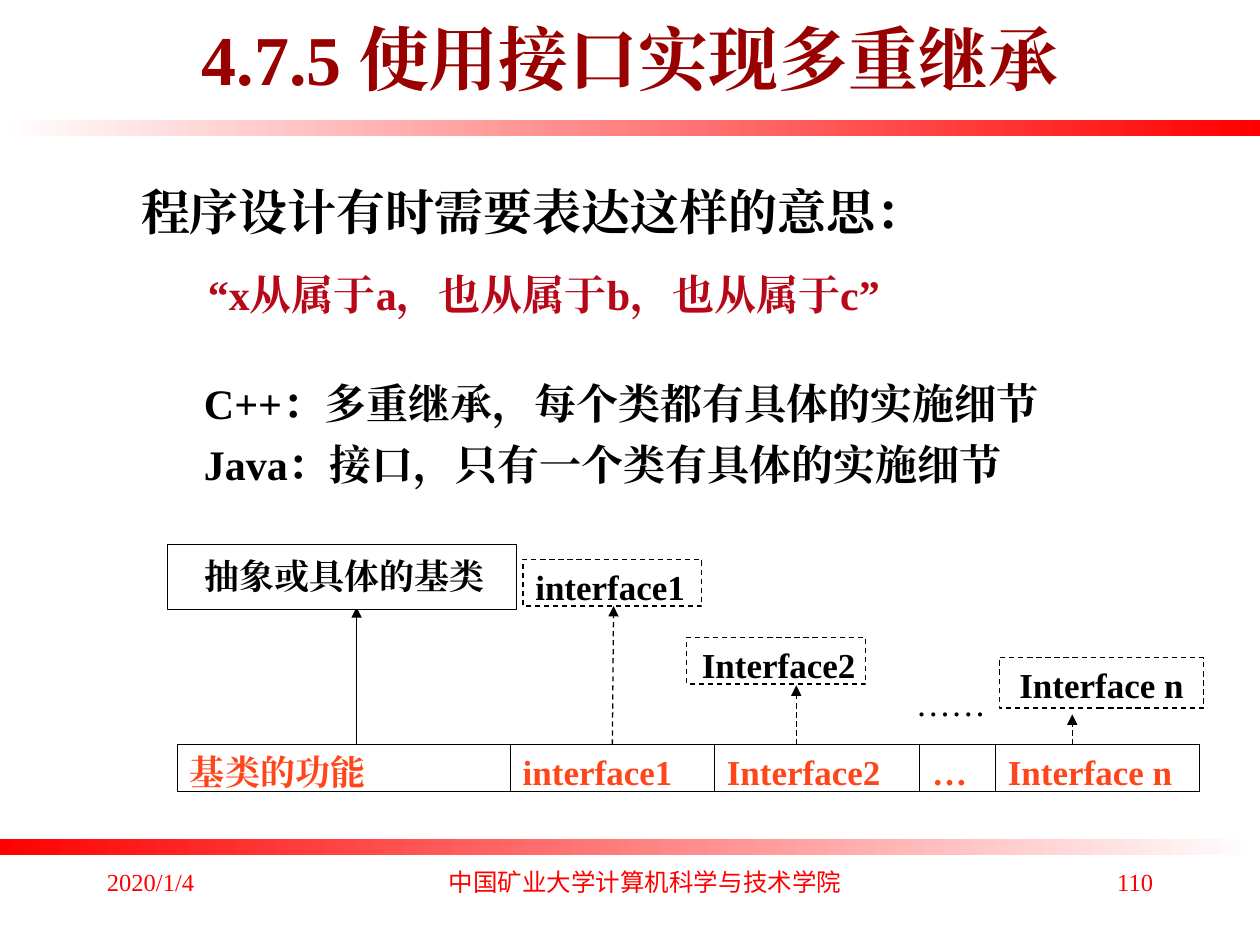
import pptx
import pptx.util
import pptx.dml.color
import pptx.enum.dml
import pptx.enum.lang
import pptx.enum.shapes
import pptx.enum.text
import pptx.oxml

Inches, Pt = pptx.util.Inches, pptx.util.Pt
ALIGN = pptx.enum.text.PP_ALIGN
ANCHOR = pptx.enum.text.MSO_ANCHOR
RECTANGLE = pptx.enum.shapes.MSO_SHAPE.RECTANGLE
DASH = pptx.enum.dml.MSO_LINE.DASH
SERIF = "Times New Roman"
NS = 'xmlns:a="http://schemas.openxmlformats.org/drawingml/2006/main"'
rgb = pptx.dml.color.RGBColor.from_string


def write(shape, lines, size, color, bold=True, font=SERIF, align=ALIGN.LEFT,
          anchor=ANCHOR.TOP, left=0.1, top=0.05):
    """Fill a shape with paragraphs; left and top are its insets in inches."""
    frame = shape.text_frame
    frame_format = {"word_wrap": True, "vertical_anchor": anchor,
                    "margin_left": Inches(left), "margin_top": Inches(top)}
    for name, value in frame_format.items():
        setattr(frame, name, value)
    for index, line in enumerate(lines):
        paragraph = frame.paragraphs[0] if index == 0 else frame.add_paragraph()
        paragraph.alignment = align
        if index:
            paragraph.space_before = Pt(size * 0.24)
        run = paragraph.add_run()
        run.text = line
        run_format = {"size": Pt(size), "bold": bold, "name": font,
                      "language_id": pptx.enum.lang.MSO_LANGUAGE_ID.SIMPLIFIED_CHINESE}
        for name, value in run_format.items():
            setattr(run.font, name, value)
        run.font.color.rgb = rgb(color)
        run.font._element.append(
            pptx.oxml.parse_xml(f'<a:ea {NS} typeface="{font}"/>'))


def add_box(x, y, width, height):
    box = slide.shapes.add_shape(
        RECTANGLE, Inches(x), Inches(y), Inches(width), Inches(height))
    box.shadow.inherit = False
    return box


presentation = pptx.Presentation()
presentation.slide_width, presentation.slide_height = Inches(10), Inches(7.5)
slide = presentation.slides.add_slide(presentation.slide_layouts[6])

# Bars under the title and above the footer
for y, colors in [(0.95, ("FFFFFF", "FF0000")), (6.66, ("FF0000", "FFFFFF"))]:
    bar = add_box(0, y, 10, 0.13)
    bar.line.fill.background()
    bar.fill.gradient()
    bar.fill.gradient_angle = 0
    for stop, color in zip(bar.fill.gradient_stops, colors):
        stop.color.rgb = rgb(color)

# Title, statement, comparison and footer
centered = {"align": ALIGN.CENTER}
footer = {"size": 14, "color": "FF0000", "bold": False}
texts = [
    (0.75, -0.17, 8.5, 1.25, ["4.7.5 使用接口实现多重继承"],
     {"size": 40, "color": "990000", "anchor": ANCHOR.MIDDLE, **centered}),
    (0.75, 1.39, 8.5, 0.6, ["程序设计有时需要表达这样的意思："],
     {"size": 28, "color": "000000", "left": 0.37}),
    (0.75, 2.08, 8.5, 0.5, ["“x从属于a，也从属于b，也从属于c”"],
     {"size": 24, "color": "B60819", "left": 0.9}),
    (1.52, 2.95, 6.85, 1.38,
     ["C++：多重继承，每个类都有具体的实施细节",
      "Java：接口，只有一个类有具体的实施细节"],
     {"size": 24, "color": "000000"}),
    (7.17, 5.36, 0.81, 0.36, ["……"],
     {"size": 20, "color": "000000", "bold": False}),
    (0.75, 6.83, 2.08, 0.5, ["2020/1/4"], footer),
    (3.42, 6.83, 3.4, 0.5, ["中国矿业大学计算机科学与技术学院"],
     {**footer, **centered, "font": "Noto Sans CJK SC"}),
    (7.17, 6.83, 2.08, 0.5, ["110"], {**footer, "align": ALIGN.RIGHT}),
]
for x, y, width, height, lines, text_format in texts:
    text_box = slide.shapes.add_textbox(
        Inches(x), Inches(y), Inches(width), Inches(height))
    write(text_box, lines, **text_format)

# Arrows from the derived class up to its parents
row_top = 5.91
for start_x, end_x, end_y, dashed in [
        (2.83, 2.83, 4.82, False), (4.86, 4.87, 4.81, True),
        (6.32, 6.32, 5.44, True), (8.51, 8.51, 5.67, True)]:
    arrow = slide.shapes.add_connector(
        pptx.enum.shapes.MSO_CONNECTOR.STRAIGHT, Inches(start_x),
        Inches(row_top), Inches(end_x), Inches(end_y))
    arrow.line.color.rgb = rgb("000000")
    arrow.line.width = Pt(0.75)
    if dashed:
        arrow.line.dash_style = DASH
    arrow.line._get_or_add_ln().append(
        pptx.oxml.parse_xml(f'<a:tailEnd {NS} type="triangle"/>'))
    arrow._element.spPr.append(pptx.oxml.parse_xml(f"<a:effectLst {NS}/>"))

# Parents: x, y, width, height, label, dashed, left inset, top inset
boxes = [
    (1.33, 4.32, 2.77, 0.52, "抽象或具体的基类", "000000", False, 0.29, 0.08),
    (4.15, 4.44, 1.42, 0.37, "interface1", "000000", True, 0.1, 0.05),
    (5.45, 5.06, 1.42, 0.37, "Interface2", "000000", True, 0.12, 0.05),
    (7.93, 5.22, 1.62, 0.4, "Interface n", "000000", True, 0.16, 0.05),
]
# Members of the derived class, side by side
x = 1.41
for label, width in [("基类的功能", 2.64), ("interface1", 1.62),
                     ("Interface2", 1.63), ("…", 0.6), ("Interface n", 1.62)]:
    boxes.append((x, row_top, width, 0.37, label, "FF461B", False, 0.1, 0.05))
    x += width

for x, y, width, height, label, color, dashed, left, top in boxes:
    box = add_box(x, y, width, height)
    box.fill.solid()
    box.fill.fore_color.rgb = rgb("FFFFFF")
    box.line.color.rgb = rgb("000000")
    box.line.width = Pt(0.75)
    if dashed:
        box.line.dash_style = DASH
    box.text_frame.margin_right = 0
    write(box, [label], 20, color, left=left, top=top)

presentation.save("out.pptx")
